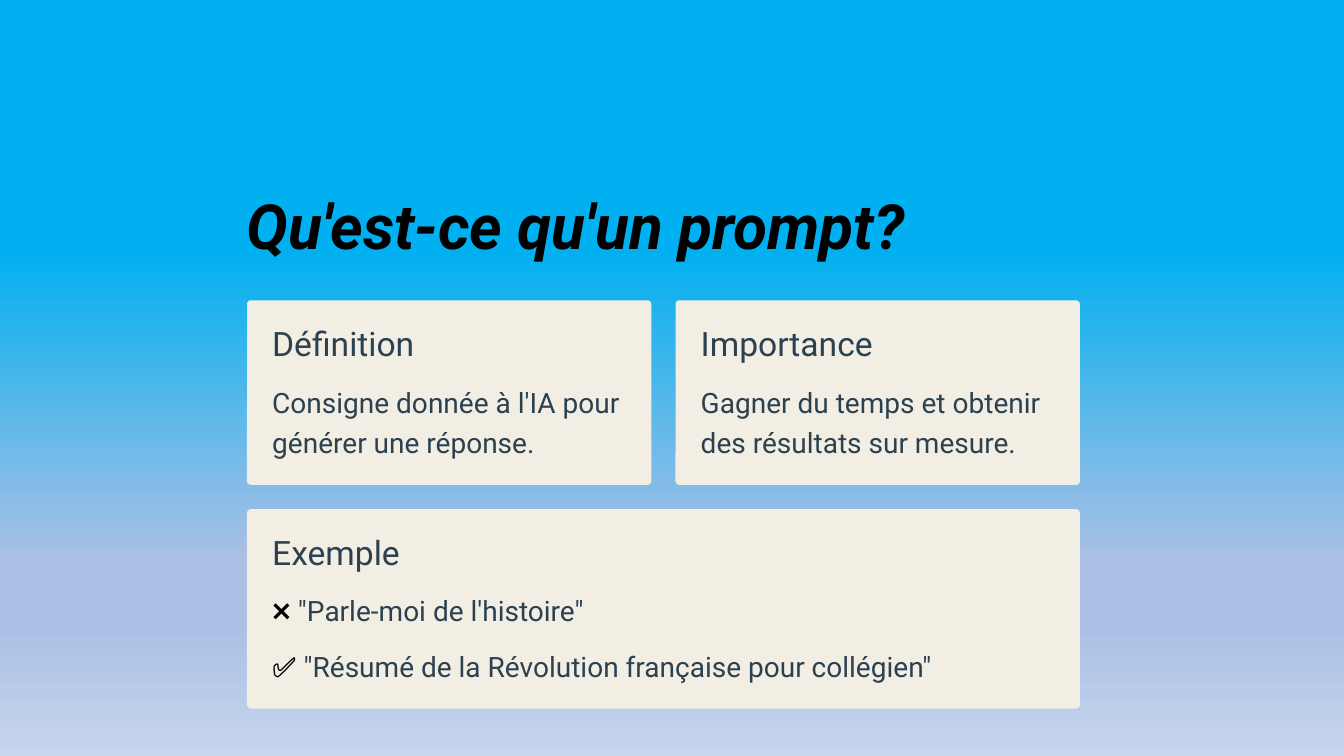
import dataclasses

import lxml.etree
import pptx
import pptx.dml.color
import pptx.enum.shapes
import pptx.enum.text
import pptx.oxml.ns
import pptx.slide
import pptx.util

Inches = pptx.util.Inches
Pt = pptx.util.Pt
Color = pptx.dml.color.RGBColor


@dataclasses.dataclass(frozen=True)
class Style:
    size: float
    line: float
    color: str
    bold: bool = False
    slant: bool = False


@dataclasses.dataclass(frozen=True)
class Theme:
    font: str = "Roboto"
    card: str = "F3EEE3"
    mark: str = "000000"
    title: Style = Style(44.5, 55.5, "000000", True, True)
    head: Style = Style(24, 27.5, "2B4150")
    body: Style = Style(20, 28.5, "2B4150")
    sky: tuple[tuple[int, str], ...] = (
        (33, "00B0F0"), (74, "ABC0E4"), (83, "ABC0E4"), (100, "C7D5ED"))


@dataclasses.dataclass(frozen=True)
class Line:
    text: str
    mark: str = ""


@dataclasses.dataclass(frozen=True)
class Card:
    left: float
    top: float
    width: float
    height: float
    head: str
    lines: tuple[Line, ...]
    wrap: bool = False


THEME = Theme()
LEFT, TOP, GAP, PAD = 2.45, 2.98, 0.24, 0.25
WIDE, HALF = 8.26, 4.01
HIGH = 1.83
BODY, STEP = 0.78, 0.55

CARDS = (
    Card(LEFT, TOP, HALF, HIGH, "Définition",
         (Line("Consigne donnée à l'IA pour générer une réponse."),), True),
    Card(LEFT + WIDE - HALF, TOP, HALF, HIGH, "Importance",
         (Line("Gagner du temps et obtenir des résultats sur mesure."),), True),
    Card(LEFT, TOP + HIGH + GAP, WIDE, 1.98, "Exemple",
         (Line(' "Parle-moi de l\'histoire"', "❌"),
          Line(' "Résumé de la Révolution française pour collégien"', "✅"))),
)


def paint_sky(slide: pptx.slide.Slide) -> None:
    fill = slide.background.fill
    fill.gradient()
    fill.gradient_angle = 270
    qn = pptx.oxml.ns.qn
    stops = next(slide.element.iter(qn("a:gsLst")))
    for stop in list(stops):
        stops.remove(stop)
    for place, color in THEME.sky:
        stop = lxml.etree.SubElement(stops, qn("a:gs"), pos=str(place * 1000))
        lxml.etree.SubElement(stop, qn("a:srgbClr"), val=color)


def add_text(slide: pptx.slide.Slide, left: float, top: float, width: float,
             height: float, line: Line, style: Style, wrap: bool = False) -> None:
    box = slide.shapes.add_textbox(
        Inches(left), Inches(top), Inches(width), Inches(height))
    frame = box.text_frame
    form = {"margin_left": 0, "margin_top": 0, "margin_right": 0,
            "margin_bottom": 0, "word_wrap": wrap,
            "vertical_anchor": pptx.enum.text.MSO_ANCHOR.TOP}
    for name, value in form.items():
        setattr(frame, name, value)
    para = frame.paragraphs[0]
    para.line_spacing = Pt(style.line)
    looks = {"name": THEME.font, "size": Pt(style.size),
             "bold": style.bold, "italic": style.slant}
    for text, color in ((line.mark, THEME.mark), (line.text, style.color)):
        if not text:
            continue
        run = para.add_run()
        run.text = text
        for name, value in looks.items():
            setattr(run.font, name, value)
        run.font.color.rgb = Color.from_string(color)


def add_card(slide: pptx.slide.Slide, card: Card) -> None:
    # Panel
    panel = slide.shapes.add_shape(
        pptx.enum.shapes.MSO_SHAPE.ROUNDED_RECTANGLE, Inches(card.left),
        Inches(card.top), Inches(card.width), Inches(card.height))
    panel.adjustments[0] = 0.02
    panel.shadow.inherit = False
    panel.fill.solid()
    panel.fill.fore_color.rgb = Color.from_string(THEME.card)
    panel.line.fill.background()

    # Heading and body lines
    left = card.left + PAD
    add_text(slide, left, card.top + GAP, 3.1, 0.39, Line(card.head), THEME.head)
    height = 0.79 if card.wrap else 0.4
    for row, line in enumerate(card.lines):
        add_text(slide, left, card.top + BODY + row * STEP,
                 card.width - 2 * PAD, height, line, THEME.body, card.wrap)


def main() -> None:
    deck = pptx.Presentation()
    deck.slide_width, deck.slide_height = Inches(13.33), Inches(7.5)
    slide = deck.slides.add_slide(deck.slide_layouts[6])
    paint_sky(slide)

    # Title
    add_text(slide, LEFT, 1.83, 7.33, 0.78,
             Line("Qu'est-ce qu'un prompt?"), THEME.title)

    # Cards
    for card in CARDS:
        add_card(slide, card)
    deck.save("out.pptx")


if __name__ == "__main__":
    main()
